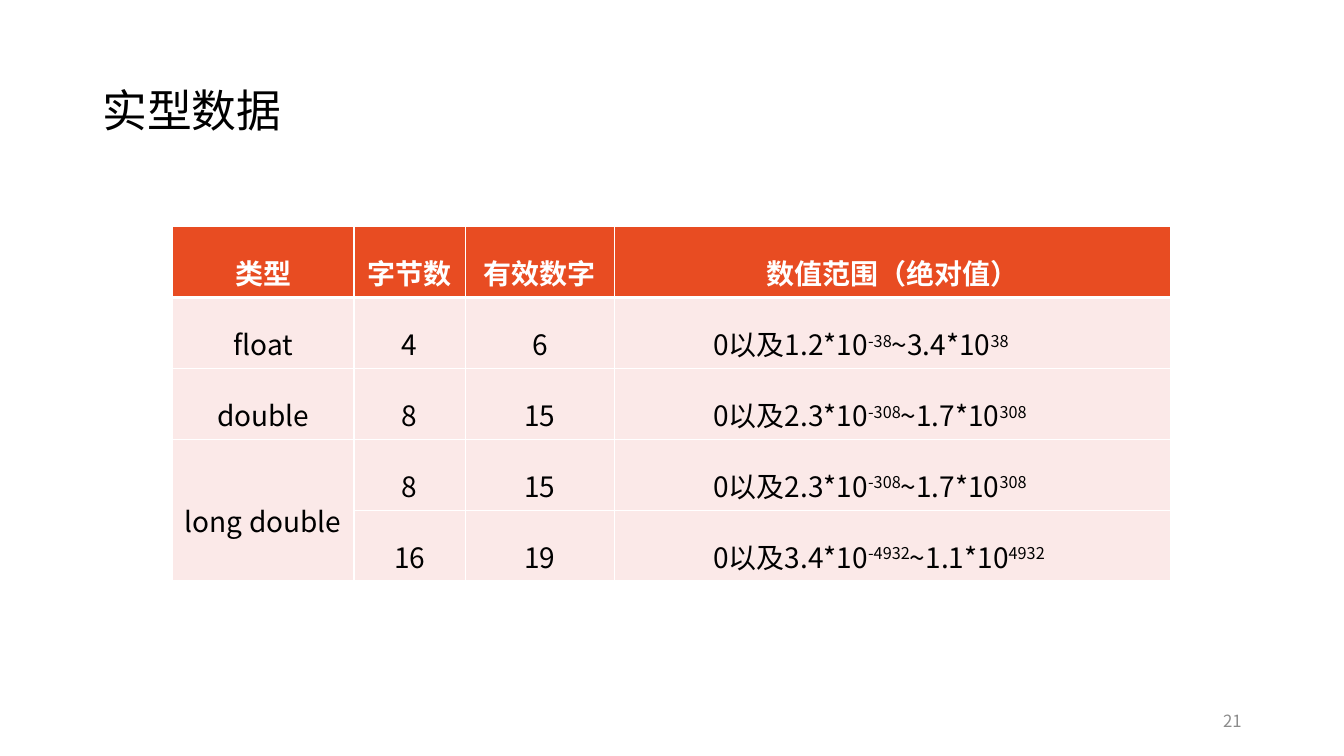
from lxml.etree import SubElement as Sub
from pptx import Presentation
from pptx.dml.color import RGBColor
from pptx.enum.text import MSO_ANCHOR as Anchor, PP_ALIGN as Align
from pptx.oxml.ns import qn
from pptx.util import Pt

FONT = "Noto Sans CJK SC"
HEADS = ["类型", "字节数", "有效数字", "数值范围（绝对值）"]
ROWS = [
    ("float", "4", "6", ("1.2", "-38", "3.4", "38")),
    ("double", "8", "15", ("2.3", "-308", "1.7", "308")),
    ("long double", "8", "15", ("2.3", "-308", "1.7", "308")),
    ("", "16", "19", ("3.4", "-4932", "1.1", "4932")),
]
WIDTHS = [129.6, 79.6, 106.5, 397.6]


def paint(target, color):
    """Give a fill or a font a solid colour from a hex string."""
    if hasattr(target, "solid"):
        target.solid()
        target = target.fore_color
    else:
        target = target.color
    target.rgb = RGBColor.from_string(color)


def add_run(para, text, size, color, bold=False, base=0):
    """Append one run, raised by base percent."""
    run = para.add_run()
    run.text = text
    font = run.font
    font.size, font.bold, font.name = Pt(size), bold, FONT
    paint(font, color)
    props = run._r.get_or_add_rPr()
    Sub(props, qn("a:ea")).set("typeface", FONT)
    if base:
        props.set("baseline", str(base * 1000))


def add_label(slide, box, text, size, color, align, space):
    """Place one line of text, centred vertically in its box."""
    frame = slide.shapes.add_textbox(*map(Pt, box)).text_frame
    frame.word_wrap = True
    frame.vertical_anchor = Anchor.MIDDLE
    para = frame.paragraphs[0]
    para.alignment, para.line_spacing = align, space
    add_run(para, text, size, color)


def style_cell(cell, fill, top, bottom):
    """Set the borders, fill and anchor of a cell."""
    props = cell._tc.get_or_add_tcPr()
    for side, width in zip("LRTB", (1, 1, top, bottom)):
        line = Sub(props, qn(f"a:ln{side}"), w=str(Pt(width)))
        solid = Sub(line, qn("a:solidFill"))
        Sub(solid, qn("a:srgbClr")).set("val", "FFFFFF")
    paint(cell.fill, fill)
    cell.vertical_anchor = Anchor.MIDDLE


def add_range(cell, para, parts):
    """Write a value range with raised exponents."""
    low, low_exp, high, high_exp = parts
    cell.margin_left = cell.margin_right = Pt(70.6)
    para.alignment = Align.JUSTIFY
    for text, base in ((f"0以及{low}*10", 0), (low_exp, 30),
                       (f"~{high}*10", 0), (high_exp, 30)):
        add_run(para, text, 20, "000000", base=base)


def add_grid(slide, box):
    """Build the table of real types in its box."""
    data = [HEADS, *ROWS]
    table = slide.shapes.add_table(len(data), len(HEADS), *map(Pt, box)).table
    table.first_row = table.horz_banding = False
    for col, width in zip(table.columns, WIDTHS):
        col.width = Pt(width)
    for i, row in enumerate(data):
        head = i == 0
        table.rows[i].height = Pt(box[3] / len(data))
        for j, value in enumerate(row):
            cell = table.cell(i, j)
            style_cell(cell, "E84C22" if head else "FBE9E8",
                       3 if i == 1 else 1, 3 if head else 1)
            para = cell.text_frame.paragraphs[0]
            para.alignment, para.line_spacing = Align.CENTER, 1.5
            if isinstance(value, tuple):
                add_range(cell, para, value)
            elif value:
                add_run(para, value, 20, "FFFFFF" if head else "000000", head)
    table.cell(3, 0).merge(table.cell(4, 0))


def main():
    """Build the slide and save it."""
    deck = Presentation()
    deck.slide_width, deck.slide_height = Pt(960), Pt(540)
    slide = deck.slides.add_slide(deck.slide_layouts[6])
    paint(slide.background.fill, "FFFFFF")
    add_label(slide, (66, 28.8, 828, 104.4), "实型数据", 32, "000000", Align.LEFT, 0.9)
    add_grid(slide, (123.2, 162, 713.3, 253))
    add_label(slide, (678, 500.5, 216, 28.8), "21", 12, "8C8C8C", Align.RIGHT, 1)
    deck.save("out.pptx")


if __name__ == "__main__":
    main()
